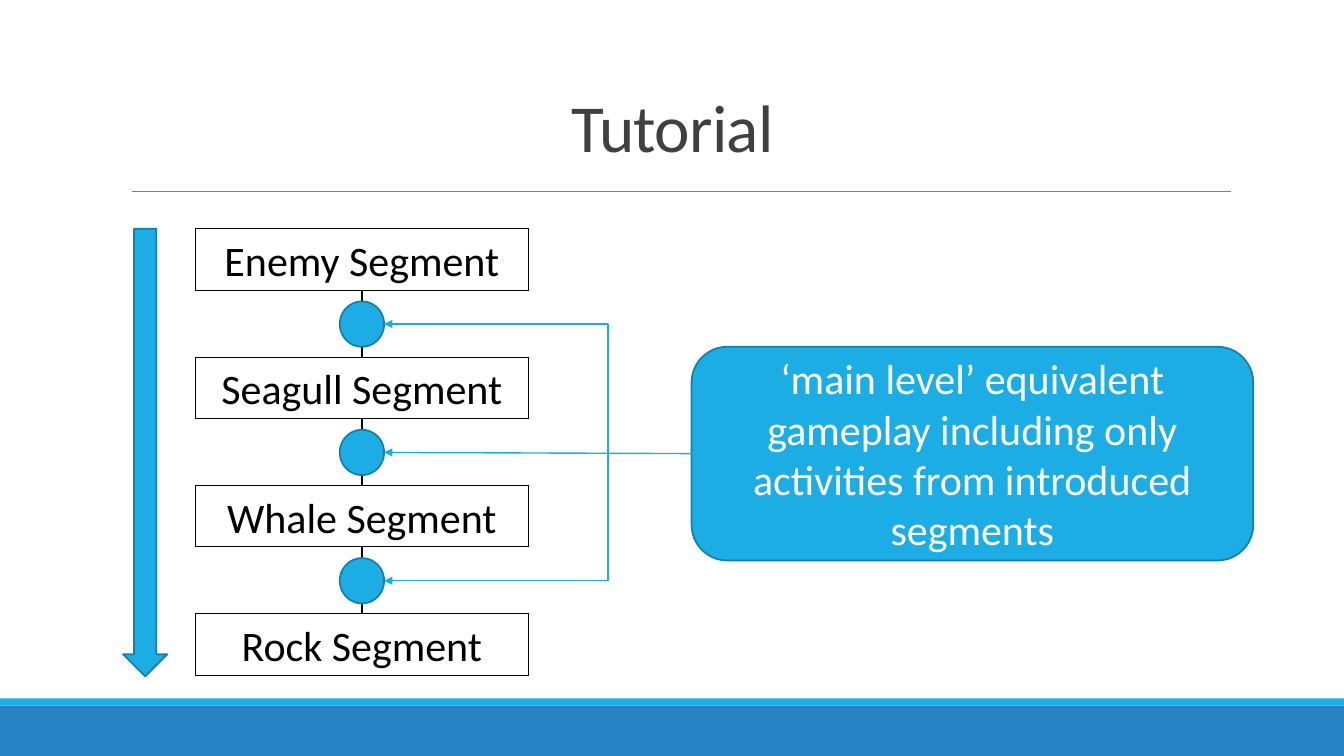
from dataclasses import dataclass

from lxml import etree
from pptx import Presentation
from pptx.dml.color import RGBColor
from pptx.enum import shapes, text
from pptx.oxml import ns
from pptx.util import Inches, Pt

TITLE = "Tutorial"
SEGMENTS = ["Enemy Segment", "Seagull Segment", "Whale Segment", "Rock Segment"]
GAMEPLAY = "‘main level’ equivalent gameplay including only activities from introduced segments"


@dataclass(frozen=True)
class Theme:
    font: str = "Calibri"
    title_size: float = 48
    body_size: float = 30
    title: str = "404040"
    ink: str = "000000"
    white: str = "FFFFFF"
    accent: str = "1CADE4"
    edge: str = "1580A9"
    band: str = "2683C6"
    rule: str = "808080"


THEME = Theme()
WIDTH, HEIGHT = 13.33, 7.5
SEGMENT_LEFT, SEGMENT_TOP, SEGMENT_WIDTH, SEGMENT_HEIGHT = 1.94, 2.27, 3.3, 0.61
LAST_SEGMENT_TOP = 6.09
PITCH = (LAST_SEGMENT_TOP - SEGMENT_TOP) / (len(SEGMENTS) - 1)
CENTRE = SEGMENT_LEFT + SEGMENT_WIDTH / 2
NODE_WIDTH, NODE_HEIGHT, NODE_TOP = 0.44, 0.45, 2.99
CALLOUT = (6.86, 3.44, 5.57, 2.12)
ELBOW_X = 6.03


def add_box(page, kind, at, fill=None, line=None, width=1.25):
    box = page.shapes.add_shape(kind, *map(Inches, at))
    box.shadow.inherit = False
    if fill:
        box.fill.solid()
        box.fill.fore_color.rgb = RGBColor.from_string(fill)
    else:
        box.fill.background()
    if line:
        box.line.color.rgb = RGBColor.from_string(line)
        box.line.width = Pt(width)
    else:
        box.line.fill.background()
    return box


def write(box, words, size=THEME.body_size, color=THEME.ink,
          anchor=text.MSO_ANCHOR.MIDDLE, line_spacing=None, tracking=None):
    frame = box.text_frame
    frame.word_wrap = True
    frame.auto_size = text.MSO_AUTO_SIZE.NONE
    frame.vertical_anchor = anchor
    para = frame.paragraphs[0]
    para.alignment = text.PP_ALIGN.CENTER
    para.line_spacing = line_spacing
    span = para.add_run()
    span.text = words
    span.font.name = THEME.font
    span.font.size = Pt(size)
    span.font.color.rgb = RGBColor.from_string(color)
    if tracking is not None:
        span.font._element.set("spc", str(int(tracking * 100)))


def add_line(page, start, end, color, width=1, arrow=False, bend=None):
    kind = shapes.MSO_CONNECTOR.STRAIGHT if bend is None else shapes.MSO_CONNECTOR.ELBOW
    line = page.shapes.add_connector(kind, *map(Inches, start + end))
    line.line.color.rgb = RGBColor.from_string(color)
    line.line.width = Pt(width)
    properties = line._element.spPr
    if arrow:
        etree.SubElement(line.line._get_or_add_ln(), ns.qn("a:tailEnd"), type="triangle")
    if bend is not None:
        guides = properties.find(ns.qn("a:prstGeom")).get_or_add_avLst()
        share = (bend - start[0]) / (end[0] - start[0])
        etree.SubElement(guides, ns.qn("a:gd"), name="adj1", fmla=f"val {round(share * 100000)}")
    etree.SubElement(properties, ns.qn("a:effectLst"))


def main():
    deck = Presentation()
    deck.slide_width, deck.slide_height = Inches(WIDTH), Inches(HEIGHT)
    page = deck.slides.add_slide(deck.slide_layouts[5])
    preset = shapes.MSO_SHAPE

    add_box(page, preset.RECTANGLE, (0, 7, WIDTH, 0.5), THEME.band)
    add_box(page, preset.RECTANGLE, (0, 6.93, WIDTH, 0.07), THEME.accent)
    add_line(page, (1.31, 1.9), (12.21, 1.9), THEME.rule, 0.5)

    title = page.shapes.title
    title.left, title.top, title.width, title.height = map(Inches, (3.32, 0.88, 6.7, 0.82))
    write(title, TITLE, THEME.title_size, THEME.title, text.MSO_ANCHOR.BOTTOM,
          line_spacing=0.85, tracking=-0.5)

    add_box(page, preset.DOWN_ARROW, (1.22, SEGMENT_TOP, 0.44, 4.44), THEME.accent, THEME.edge)
    callout = add_box(page, preset.ROUNDED_RECTANGLE, CALLOUT, THEME.accent, THEME.edge)
    write(callout, GAMEPLAY, color=THEME.white)

    for index, name in enumerate(SEGMENTS):
        top = SEGMENT_TOP + index * PITCH
        segment = add_box(page, preset.RECTANGLE,
                          (SEGMENT_LEFT, top, SEGMENT_WIDTH, SEGMENT_HEIGHT),
                          line=THEME.ink, width=0.75)
        write(segment, name)

    callout_side = (CALLOUT[0], CALLOUT[1] + CALLOUT[3] / 2)
    for index in range(len(SEGMENTS) - 1):
        top = SEGMENT_TOP + index * PITCH
        node_top = NODE_TOP + index * PITCH
        add_line(page, (CENTRE, top + SEGMENT_HEIGHT), (CENTRE, top + PITCH), THEME.ink)
        add_box(page, preset.OVAL, (CENTRE - NODE_WIDTH / 2, node_top, NODE_WIDTH, NODE_HEIGHT),
                THEME.accent, THEME.edge)
        node_side = (CENTRE + NODE_WIDTH / 2, node_top + NODE_HEIGHT / 2)
        add_line(page, callout_side, node_side, THEME.accent, arrow=True,
                 bend=None if index == 1 else ELBOW_X)

    deck.save("out.pptx")


if __name__ == "__main__":
    main()
